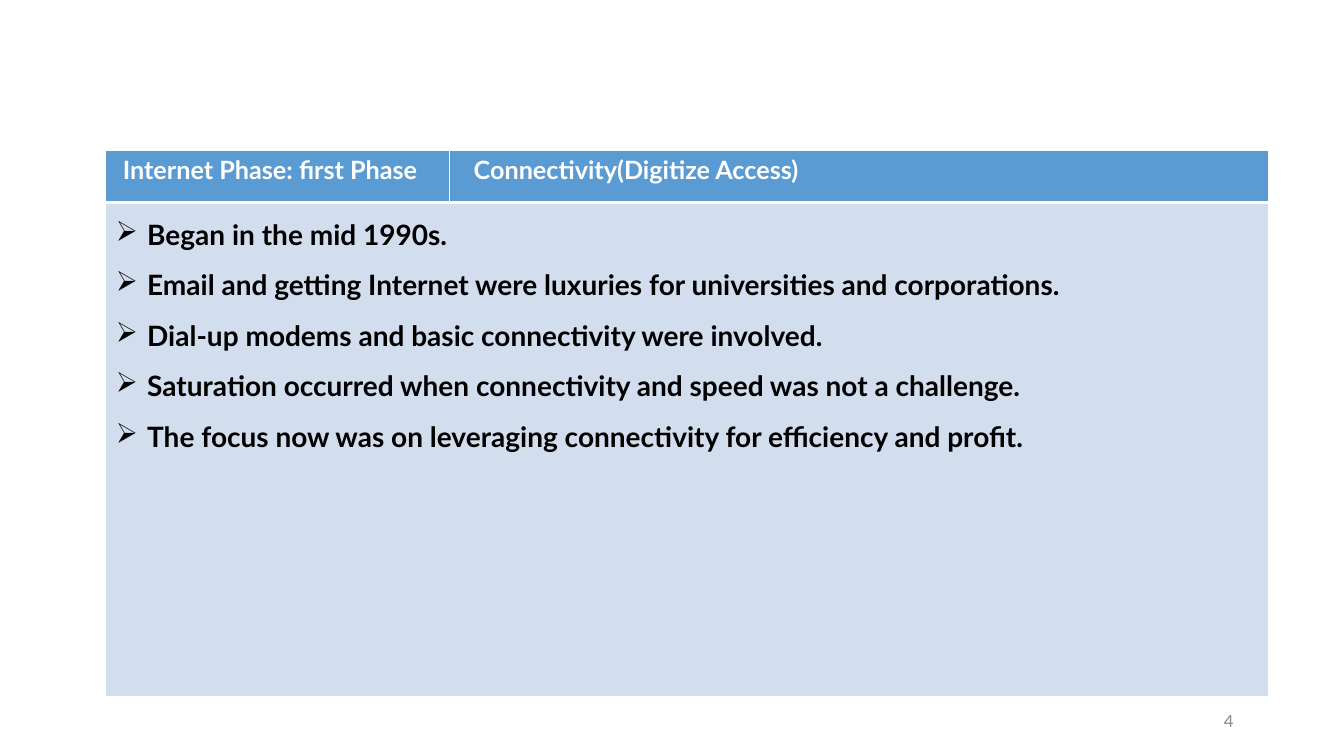
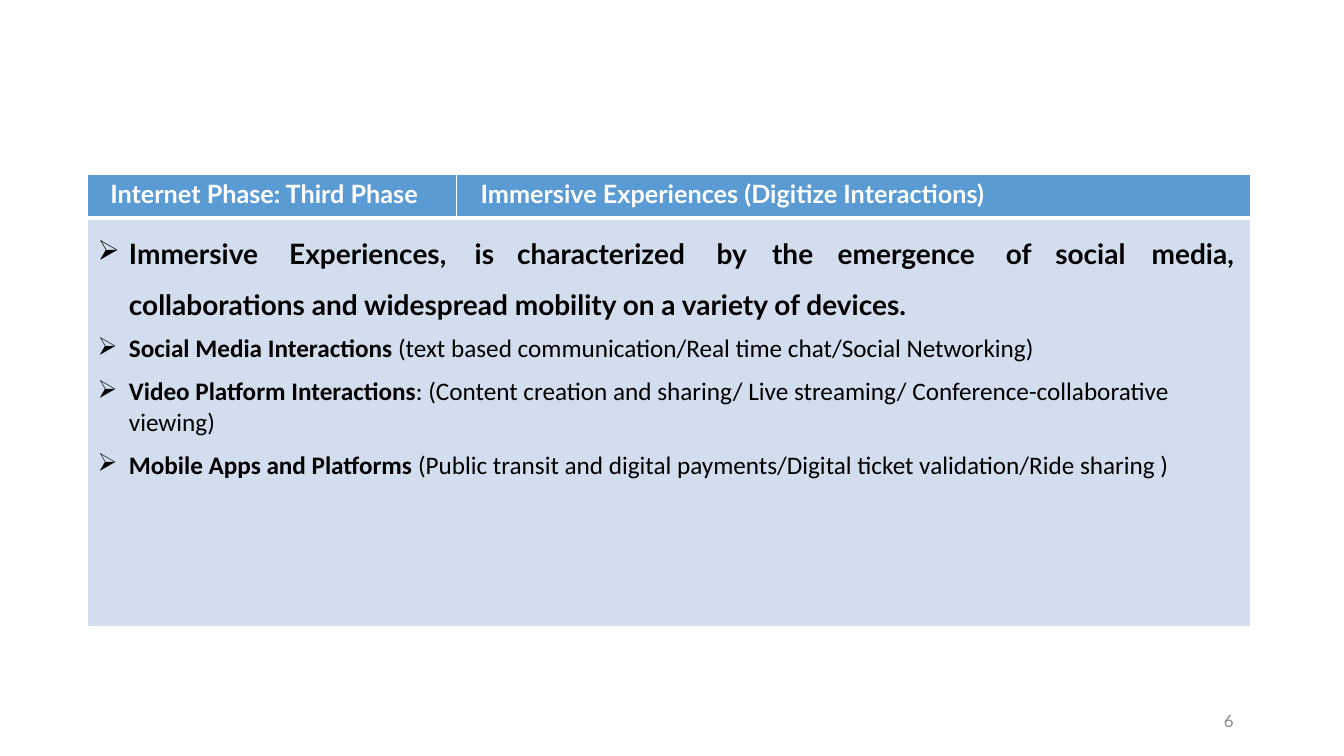
from lxml import etree
from pptx import Presentation
from pptx.dml.color import RGBColor
from pptx.oxml.ns import qn
from pptx.util import Pt

BLANK_LAYOUT = 6
BULLET = "➢"
BULLET_INDENT = 29.5
BULLET_HANG = 22.3


def color(value):
    return RGBColor.from_string(value)


class PhaseDeck:
    font = "Lato"
    body_font = "Calibri"
    white = "FFFFFF"
    black = "000000"
    gray = "888888"
    header_fill = "5B9BD4"
    body_fill = "D2DEEE"
    thin_line = 1
    thick_line = 3

    def __init__(self):
        self.deck = Presentation()
        self.deck.slide_width = Pt(960)
        self.deck.slide_height = Pt(540)
        self.page = None

    def add_page(self, number):
        layout = self.deck.slide_layouts[BLANK_LAYOUT]
        self.page = self.deck.slides.add_slide(layout)
        box = self.page.shapes.add_textbox(Pt(872), Pt(505.4), Pt(17.3), Pt(18))
        frame = box.text_frame
        frame.word_wrap = True
        frame.margin_left = frame.margin_right = frame.margin_bottom = 0
        frame.margin_top = Pt(2)
        para = frame.paragraphs[0]
        self.indent(para, 2.2)
        para.space_before = Pt(1.9)
        self.add_span(para, str(number), 12, self.gray)

    def add_span(self, para, text, size, text_color, bold=False, font=None):
        span = para.add_run()
        span.text = text
        span.font.name = font or self.font
        span.font.size = Pt(size)
        span.font.bold = bold
        span.font.color.rgb = color(text_color)

    def indent(self, para, left, hang=0):
        properties = para._p.get_or_add_pPr()
        properties.set("marL", str(Pt(left)))
        properties.set("indent", str(-Pt(hang)))
        return properties

    def add_bullet(self, para, tabs=()):
        properties = self.indent(para, BULLET_INDENT, BULLET_HANG)
        etree.SubElement(properties, qn("a:buChar"), char=BULLET)
        if tabs:
            tab_list = etree.SubElement(properties, qn("a:tabLst"))
            for position in tabs:
                etree.SubElement(tab_list, qn("a:tab"), pos=str(Pt(position)), algn="l")

    def style_cell(self, cell, fill, top_line, bottom_line, margin_top):
        cell.margin_left = cell.margin_right = cell.margin_bottom = 0
        cell.margin_top = Pt(margin_top)
        properties = cell._tc.get_or_add_tcPr()
        widths = {"L": self.thin_line, "R": self.thin_line, "T": top_line, "B": bottom_line}
        for side, width in widths.items():
            line = etree.SubElement(properties, qn(f"a:ln{side}"), w=str(Pt(width)))
            solid = etree.SubElement(line, qn("a:solidFill"))
            etree.SubElement(solid, qn("a:srgbClr"), val=self.white)
        cell.fill.solid()
        cell.fill.fore_color.rgb = color(fill)

    def add_table(self, left, top, widths, heights, headings, indents, body_margin):
        frame = self.page.shapes.add_table(
            2, 2, Pt(left), Pt(top), Pt(sum(widths)), Pt(sum(heights)))
        table = frame.table
        for column, width in zip(table.columns, widths):
            column.width = Pt(width)
        for row, height in zip(table.rows, heights):
            row.height = Pt(height)
        for index, (heading, left_indent) in enumerate(zip(headings, indents)):
            header = table.cell(0, index)
            self.style_cell(header, self.header_fill, self.thin_line, self.thick_line, 2.9)
            para = header.text_frame.paragraphs[0]
            self.indent(para, left_indent)
            para.space_before = Pt(3.1)
            self.add_span(para, heading, 18, self.white, True)
            self.style_cell(table.cell(1, index), self.body_fill,
                            self.thick_line, self.thin_line, body_margin)
        body = table.cell(1, 0)
        body.merge(table.cell(1, 1))
        return body.text_frame

    def add_point(self, frame, bold_text, plain_text="", size=20, font=None,
                  before=12, line_spacing=None, tabs=()):
        first = frame.paragraphs[0]
        para = frame.add_paragraph() if first.runs else first
        para.space_before = Pt(before)
        if line_spacing:
            para.line_spacing = Pt(line_spacing)
        self.add_bullet(para, tabs)
        self.add_span(para, bold_text, size, self.black, True, font)
        if plain_text:
            self.add_span(para, plain_text, size, self.black, False, font)


def add_first_phase(style):
    style.add_page(4)
    frame = style.add_table(
        75.6, 107.3, (245.5, 585.4), (37.4, 352.8),
        ("Internet Phase: first Phase", "Connectivity(Digitize Access)"), (12.2, 17.3), 10.7)
    points = (
        "Began in the mid 1990s.",
        "Email and getting Internet were luxuries for universities and corporations.",
        "Dial-up modems and basic connectivity were involved.",
        "Saturation occurred when connectivity and speed was not a challenge.",
        "The focus now was on leveraging connectivity for efficiency and profit.",
    )
    for index, point in enumerate(points):
        style.add_point(frame, point, before=12 if index else 10.7)


def add_third_phase(style):
    style.add_page(6)
    frame = style.add_table(
        62.6, 124.6, (263.5, 567.4), (31, 292.3),
        ("Internet Phase: Third Phase", "Immersive Experiences (Digitize Interactions)"),
        (16.2, 17.3), 2)
    style.add_point(
        frame,
        "Immersive\tExperiences,\tis\tcharacterized\tby\tthe\temergence\tof\tsocial\tmedia, "
        "collaborations and widespread mobility on a variety of devices.",
        before=1.9, line_spacing=36,
        tabs=(29.5, 144, 276.5, 306.7, 449.3, 488.9, 535.7, 655.9, 691.2, 760))
    interactions = (
        ("Social Media Interactions",
         " (text based communication/Real time chat/Social Networking)"),
        ("Video Platform Interactions",
         ": (Content creation and sharing/ Live streaming/ Conference-collaborative viewing)"),
        ("Mobile Apps and Platforms",
         " (Public transit and digital payments/Digital ticket validation/Ride sharing )"),
    )
    for name, examples in interactions:
        style.add_point(frame, name, examples, 18, style.body_font, 8.8)


def main():
    style = PhaseDeck()
    add_first_phase(style)
    add_third_phase(style)
    style.deck.save("out.pptx")


if __name__ == "__main__":
    main()
